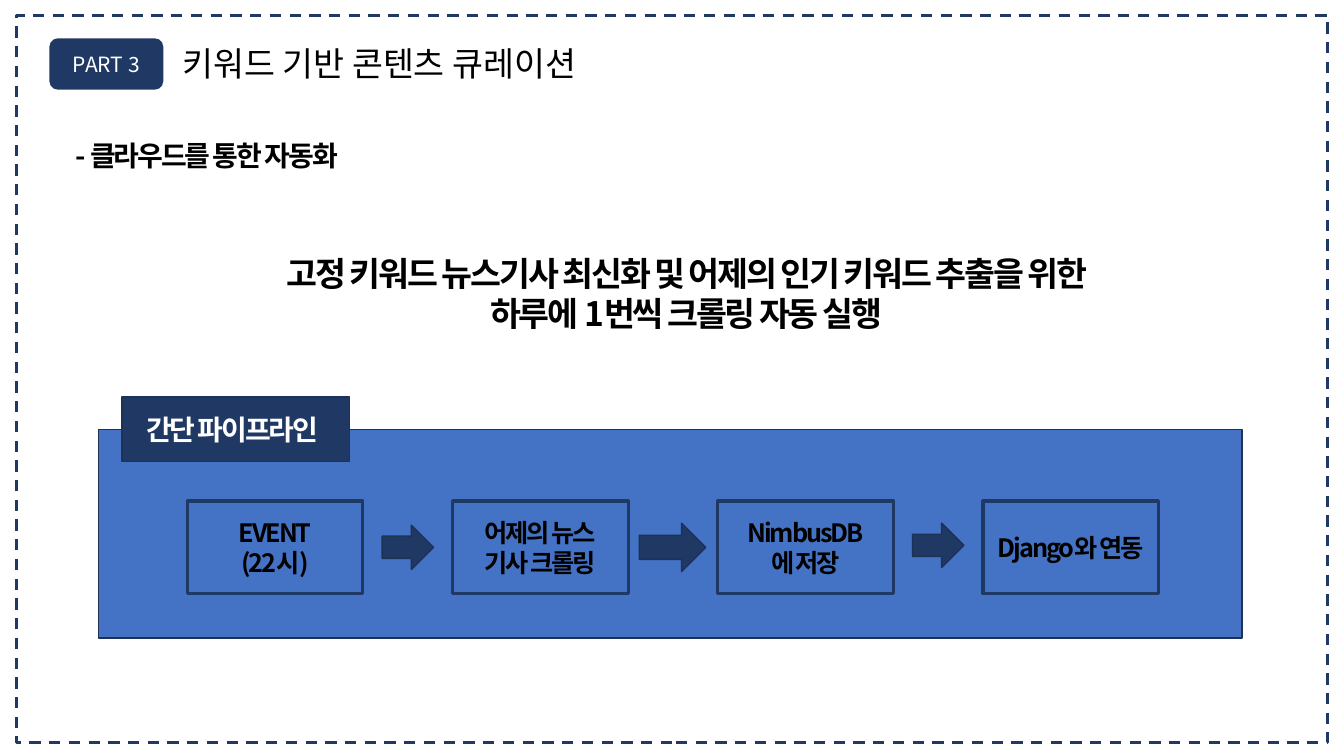
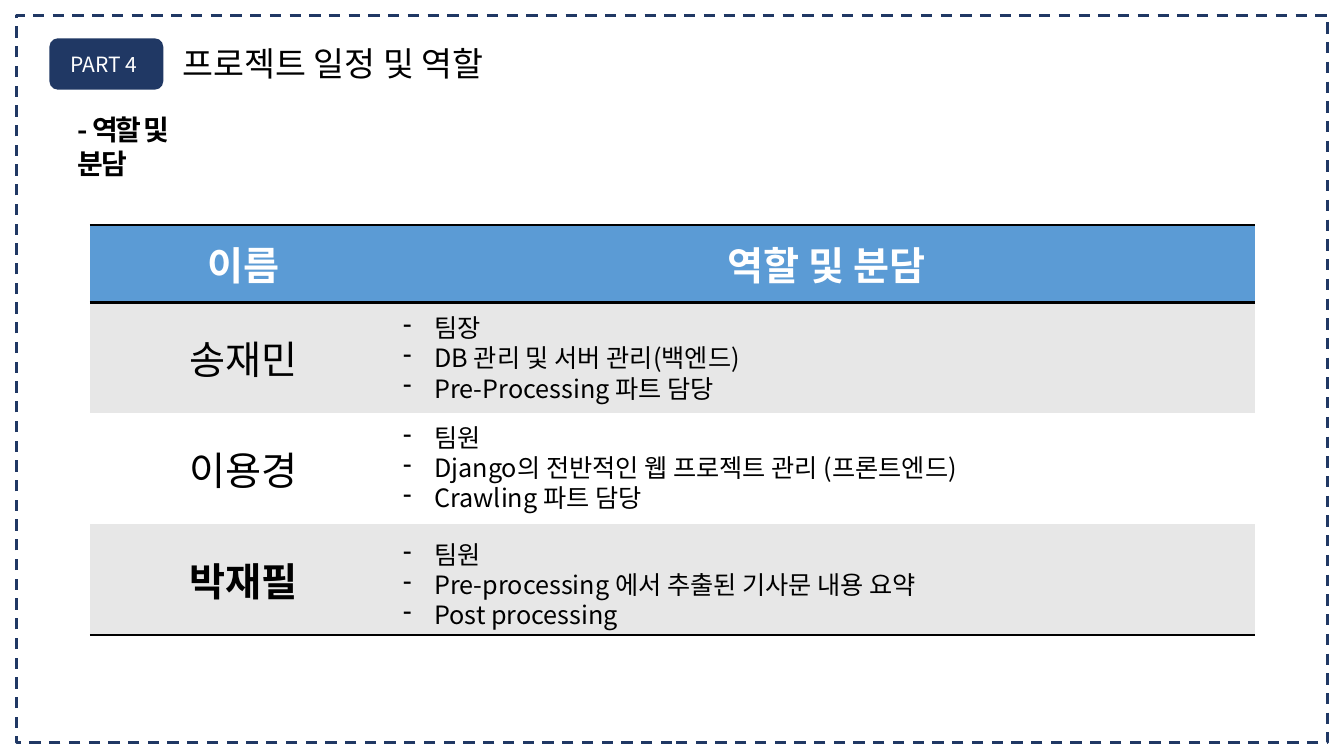
from dataclasses import dataclass

from pptx import Presentation
from pptx.dml.color import RGBColor
from pptx.enum.dml import MSO_LINE_DASH_STYLE as Dash
from pptx.enum.shapes import MSO_SHAPE as Preset
from pptx.enum.text import MSO_ANCHOR as Anchor, MSO_AUTO_SIZE as AutoSize, PP_ALIGN as Align
from pptx.oxml.ns import qn
from pptx.util import Inches, Pt
from lxml.etree import SubElement, Element

FONT = "Noto Sans CJK KR"
NAVY, EDGE, BLUE, SKY = "203864", "1E3256", "4472C4", "5B9BD5"
GRAY, WHITE, BLACK = "E7E7E7", "FFFFFF", "000000"


@dataclass(frozen=True)
class Box:
    left: float
    top: float
    width: float
    height: float

    def lengths(self) -> tuple:
        return tuple(Inches(v) for v in (self.left, self.top, self.width, self.height))


@dataclass(frozen=True)
class Style:
    size: float
    color: str = BLACK
    bold: bool = False
    spacing: float = 0
    align: Align = Align.LEFT
    bullet: str = ""


@dataclass(frozen=True)
class Member:
    name: str
    box: Box
    duties: tuple[str, ...]
    fill: str
    bold: bool = False


TITLE = Style(24)
BADGE = Style(15, WHITE, align=Align.CENTER)
SUBTITLE = Style(20, bold=True, spacing=-1.5)
LABEL = Style(20, WHITE, True, -1.5)
LEAD = Style(24, bold=True, spacing=-1.5, align=Align.CENTER)
STEP = Style(18, bold=True, spacing=-1.5, align=Align.CENTER)
HEADER = Style(28, WHITE, True, align=Align.CENTER)
DUTY = Style(18, bullet="-")

STEPS = (("EVENT", "(22시)"), ("어제의 뉴스", "기사 크롤링"),
         ("NimbusDB", "에 저장"), ("Django와 연동",))
ARROWS = (Box(3.79, 5.21, 0.51, 0.44), Box(6.34, 5.19, 0.66, 0.48), Box(9.05, 5.19, 0.51, 0.44))
MEMBERS = (
    Member("송재민", Box(3.9, 3.05, 8.83, 1.01),
           ("팀장", "DB 관리 및 서버 관리(백엔드)", "Pre-Processing 파트 담당"), GRAY),
    Member("이용경", Box(3.9, 4.14, 8.67, 1.01),
           ("팀원", "Django의 전반적인 웹 프로젝트 관리 (프론트엔드)", "Crawling 파트 담당"), WHITE),
    Member("박재필", Box(3.9, 5.3, 5.87, 1.01),
           ("팀원", "Pre-processing 에서 추출된 기사문 내용 요약", "Post processing"), GRAY, True),
)


def rgb(value: str) -> RGBColor:
    return RGBColor.from_string(value)


def assign(target, formats: dict) -> None:
    for name, value in formats.items():
        setattr(target, name, value)


def write(frame, lines: tuple[str, ...], style: Style) -> None:
    for index, line in enumerate(lines):
        para = frame.paragraphs[0] if index == 0 else frame.add_paragraph()
        para.alignment = style.align
        if style.bullet:
            props = para._p.get_or_add_pPr()
            props.set("marL", str(Inches(0.31)))
            props.set("indent", str(Inches(-0.31)))
            SubElement(props, qn("a:buChar"), char=style.bullet)
        span = para.add_run()
        span.text = line
        assign(span.font, {"name": FONT, "size": Pt(style.size), "bold": style.bold})
        span.font.color.rgb = rgb(style.color)
        props = span._r.get_or_add_rPr()
        SubElement(props, qn("a:ea"), typeface=FONT)
        if style.spacing:
            props.set("spc", str(int(style.spacing * 100)))


def add_text(page, box: Box, lines: tuple[str, ...], style: Style) -> None:
    frame = page.shapes.add_textbox(*box.lengths()).text_frame
    assign(frame, {"word_wrap": True, "auto_size": AutoSize.SHAPE_TO_FIT_TEXT})
    write(frame, lines, style)


def add_block(page, box: Box, preset: Preset = Preset.RECTANGLE, fill: str = "",
              line: str = "", weight: float = 1):
    shape = page.shapes.add_shape(preset, *box.lengths())
    shape.shadow.inherit = False
    if fill:
        shape.fill.solid()
        shape.fill.fore_color.rgb = rgb(fill)
    else:
        shape.fill.background()
    if line:
        shape.line.color.rgb = rgb(line)
        shape.line.width = Pt(weight)
    else:
        shape.line.fill.background()
    shape.text_frame.vertical_anchor = Anchor.MIDDLE
    return shape


def start_page(deck, part: str, heading: str, width: float):
    page = deck.slides.add_slide(deck.slide_layouts[5])
    border = add_block(page, Box(0.16, 0.15, 13.01, 7.22), line=NAVY, weight=2)
    border.line.dash_style = Dash.DASH
    badge = add_block(page, Box(0.49, 0.38, 1.13, 0.51), Preset.ROUNDED_RECTANGLE, NAVY)
    write(badge.text_frame, (part,), BADGE)
    title = page.shapes.title
    places = Box(1.71, 0.38, width, 0.5).lengths()
    assign(title, dict(zip(("left", "top", "width", "height"), places)))
    assign(title.text_frame, {"word_wrap": False, "vertical_anchor": Anchor.TOP,
                              "auto_size": AutoSize.SHAPE_TO_FIT_TEXT})
    write(title.text_frame, (heading,), TITLE)
    return page


def format_cell(cell, fill: str, ruled: str) -> None:
    cell.fill.solid()
    cell.fill.fore_color.rgb = rgb(fill)
    cell.vertical_anchor = Anchor.MIDDLE
    props = cell._tc.get_or_add_tcPr()
    for index, side in enumerate("LRTB"):
        edge = Element(qn(f"a:ln{side}"))
        if side in ruled:
            edge.set("w", str(Pt(2)))
            paint = SubElement(edge, qn("a:solidFill"))
            SubElement(paint, qn("a:srgbClr"), val=BLACK)
        else:
            SubElement(edge, qn("a:noFill"))
        props.insert(index, edge)


def build_pipeline(deck) -> None:
    page = start_page(deck, "PART 3", "키워드 기반 콘텐츠 큐레이션", 4.28)
    add_text(page, Box(0.65, 1.32, 3, 0.44), ("- 클라우드를 통한 자동화",), SUBTITLE)
    add_text(page, Box(2.53, 2.46, 8.55, 0.91),
             ("고정 키워드 뉴스기사 최신화 및 어제의 인기 키워드 추출을 위한 하루에 1번씩 크롤링 자동 실행",), LEAD)
    add_block(page, Box(0.98, 4.26, 11.34, 2.07), fill=BLUE, line=EDGE)
    add_block(page, Box(1.21, 3.94, 2.26, 0.64), fill=NAVY, line=EDGE)
    add_text(page, Box(1.35, 4.04, 1.98, 0.44), ("간단 파이프라인",), LABEL)
    for index, lines in enumerate(STEPS):
        step = add_block(page, Box(1.86 + 2.63 * index, 4.97, 1.74, 0.92), line=NAVY, weight=2.25)
        write(step.text_frame, lines, STEP)
    for box in ARROWS:
        add_block(page, box, Preset.RIGHT_ARROW, NAVY, EDGE)


def build_roles(deck) -> None:
    page = start_page(deck, "PART 4 ", "프로젝트 일정 및 역할", 3.32)
    add_text(page, Box(0.67, 1.07, 1.5, 0.77), ("- 역할 및 분담",), SUBTITLE)
    place = Box(0.89, 2.23, 11.56, 4.07)
    table = page.shapes.add_table(len(MEMBERS) + 1, 2, *place.lengths()).table
    assign(table, {"first_row": False, "horz_banding": False})
    for column, width in zip(table.columns, (3.05, 8.51)):
        column.width = Inches(width)
    for row, height in zip(table.rows, (0.77, *[1.1] * len(MEMBERS))):
        row.height = Inches(height)
    for column, heading in enumerate(("이름", "역할 및 분담")):
        cell = table.cell(0, column)
        format_cell(cell, SKY, "TB")
        write(cell.text_frame, (heading,), HEADER)
    for index, member in enumerate(MEMBERS, 1):
        ruled = {1: "T", len(MEMBERS): "B"}.get(index, "")
        for column in range(2):
            format_cell(table.cell(index, column), member.fill, ruled)
        style = Style(28, bold=member.bold, align=Align.CENTER)
        write(table.cell(index, 0).text_frame, (member.name,), style)
        add_text(page, member.box, member.duties, DUTY)


def main() -> None:
    deck = Presentation()
    assign(deck, {"slide_width": Inches(13.33), "slide_height": Inches(7.5)})
    build_pipeline(deck)
    build_roles(deck)
    deck.save("out.pptx")


if __name__ == "__main__":
    main()
